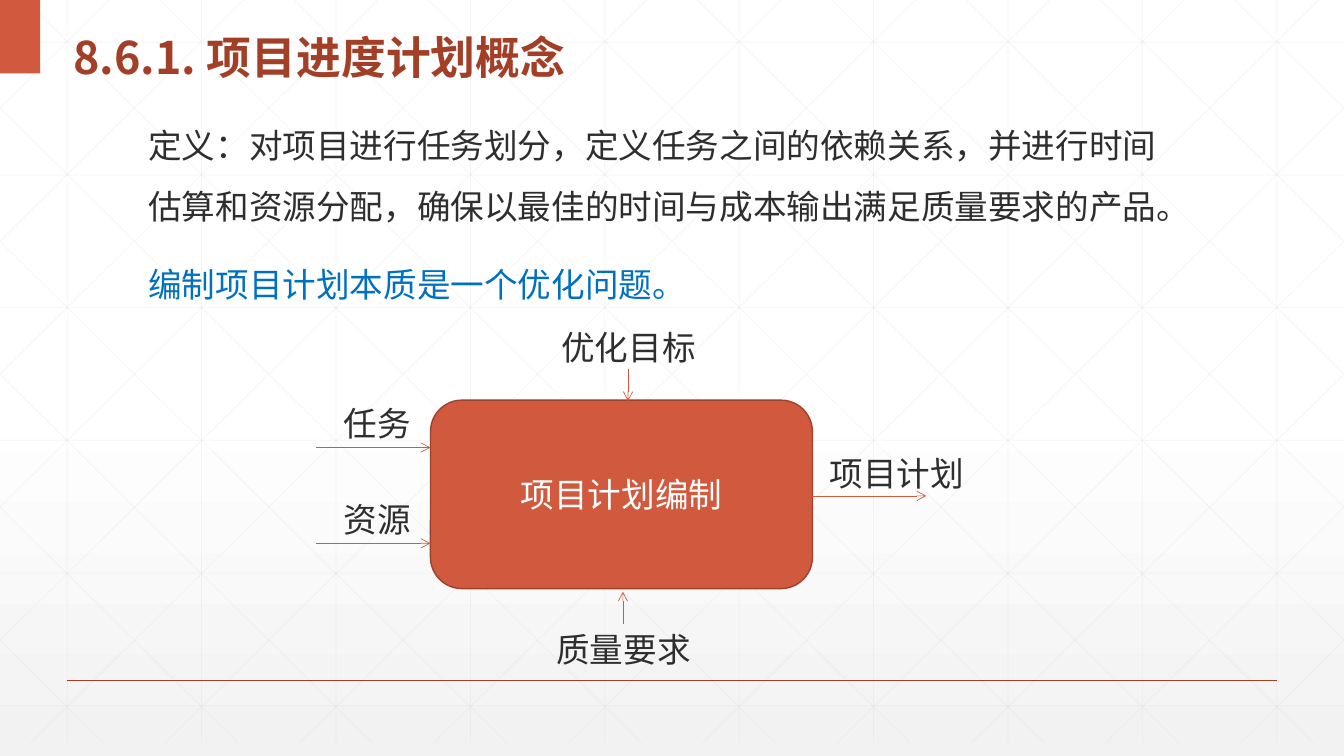
from lxml.etree import SubElement
from pptx import Presentation
from pptx.dml.color import RGBColor
from pptx.enum.shapes import MSO_CONNECTOR, MSO_SHAPE
from pptx.enum.text import MSO_ANCHOR, MSO_AUTO_SIZE, PP_ALIGN
from pptx.oxml.ns import qn
from pptx.util import Inches, Pt

COLOURS = {
    "white": "FFFFFF", "paper": "F2F2F2", "mesh": "D9D9D9",
    "accent": "D15A3E", "outline": "9B432E", "heading": "A43F27",
    "text": "2D2E2D", "blue": "0070C0",
}
CJK_FONT = "Noto Sans CJK SC"
WIDTH, HEIGHT = Inches(13.333), Inches(7.5)
MESH_BOTTOM = 98.27
LABEL_HEIGHT = 6.67


def colour(name):
    return RGBColor.from_string(COLOURS[name])


def columns(count):
    """Convert hundredths of the slide's width to a length."""
    return round(WIDTH * count / 100)


def rows(count):
    """Convert hundredths of the slide's height to a length."""
    return round(HEIGHT * count / 100)


def area(left, top, width, height):
    return columns(left), rows(top), columns(width), rows(height)


def place(box, *bounds):
    box.left, box.top, box.width, box.height = area(*bounds)


def write(para, text, size=24, font="Arial", ink="text", bold=False,
          align=PP_ALIGN.LEFT, spacing=None, before=0):
    properties = para._p.get_or_add_pPr()
    properties.set("marL", "0")
    properties.set("indent", "0")
    SubElement(properties, qn("a:buNone"))
    para.alignment = align
    para.line_spacing = spacing
    para.space_before = Pt(before)
    span = para.add_run()
    span.text = text
    span.font.size = Pt(size)
    span.font.name = font
    span.font.bold = bold
    span.font.color.rgb = colour(ink)
    SubElement(span._r.get_or_add_rPr(), qn("a:ea"), typeface=CJK_FONT)


def add_line(shapes, start, end, ink="accent", weight=0.5, opacity=None, arrow=False):
    line = shapes.add_connector(
        MSO_CONNECTOR.STRAIGHT,
        columns(start[0]), rows(start[1]), columns(end[0]), rows(end[1]))
    line.line.color.rgb = colour(ink)
    line.line.width = Pt(weight)
    outline = line.line._get_or_add_ln()
    if opacity:
        SubElement(outline.find(".//" + qn("a:srgbClr")), qn("a:alpha"),
                   val=str(opacity * 1000))
    if arrow:
        SubElement(outline, qn("a:tailEnd"), type="arrow")
    SubElement(line._element.spPr, qn("a:effectLst"))


def add_block(page, kind, bounds, outline=None):
    block = page.shapes.add_shape(kind, *area(*bounds))
    block.shadow.inherit = False
    block.fill.solid()
    block.fill.fore_color.rgb = colour("accent")
    if outline:
        block.line.color.rgb = colour(outline)
        block.line.width = Pt(1)
    else:
        block.line.fill.background()
    return block


def add_label(page, text, left, top, width):
    box = page.shapes.add_textbox(*area(left, top, width, LABEL_HEIGHT))
    box.text_frame.word_wrap = False
    box.text_frame.vertical_anchor = MSO_ANCHOR.MIDDLE
    write(box.text_frame.paragraphs[0], text)


def add_background(page):
    fill = page.background.fill
    fill.gradient()
    fill.gradient_angle = 270
    for stop, name, position in zip(fill.gradient_stops, ("white", "paper"), (0.53, 1)):
        stop.color.rgb = colour(name)
        stop.position = position


def add_mesh(page):
    """Draw upright, level and mirrored slanting lines, cut at the slide's edges."""
    segments = [((5 + 10 * i, 0), (5 + 10 * i, MESH_BOTTOM)) for i in range(10)]
    segments += [((0, 5.6 + 17.55 * i), (100, 5.6 + 17.55 * i)) for i in range(6)]
    slope = 1.76
    for i in range(-5, 10):
        origin = 1.88 + 10 * i
        top = max(0, -origin * slope)
        bottom = min(MESH_BOTTOM, (100 - origin) * slope)
        start, end = origin + top / slope, origin + bottom / slope
        segments += [((start, top), (end, bottom)),
                     ((100 - start, top), (100 - end, bottom))]
    mesh = page.shapes.add_group_shape()
    for start, end in segments:
        add_line(mesh.shapes, start, end, "mesh", opacity=25)


def fill_placeholder(page, box, bounds, anchor):
    """Bring a placeholder in front of the background and return its text frame."""
    page.shapes._spTree.append(box._element)
    place(box, *bounds)
    frame = box.text_frame
    frame.word_wrap = True
    frame.auto_size = MSO_AUTO_SIZE.NONE
    frame.vertical_anchor = anchor
    return frame


def add_heading(page):
    frame = fill_placeholder(page, page.shapes.title, (4.72, 1.6, 91, 9.73),
                             MSO_ANCHOR.MIDDLE)
    write(frame.paragraphs[0], "8.6.1. 项目进度计划概念", size=32, font=CJK_FONT,
          ink="heading", bold=True, spacing=1.3)


def add_definition(page):
    frame = fill_placeholder(page, page.placeholders[1], (10.28, 13.2, 78.22, 27.87),
                             MSO_ANCHOR.TOP)
    write(frame.paragraphs[0],
          "定义：对项目进行任务划分，定义任务之间的依赖关系，并进行时间"
          "估算和资源分配，确保以最佳的时间与成本输出满足质量要求的产品。",
          font=CJK_FONT, spacing=Pt(43.4))
    write(frame.add_paragraph(), "编制项目计划本质是一个优化问题。",
          font=CJK_FONT, ink="blue", spacing=Pt(43.4), before=12)


def add_planning_diagram(page):
    process = add_block(page, MSO_SHAPE.ROUNDED_RECTANGLE,
                        (32.03, 52.93, 28.42, 24.93), outline="outline")
    process.text_frame.vertical_anchor = MSO_ANCHOR.MIDDLE
    write(process.text_frame.paragraphs[0], "项目计划编制", ink="white",
          align=PP_ALIGN.CENTER)
    flows = [
        ("任务", (24.83, 52.67, 6.6), (23.48, 59.2), (32.03, 59.2)),
        ("资源", (24.83, 65.33, 6.6), (23.48, 71.87), (32.03, 71.87)),
        ("优化目标", (41.03, 42.53, 11.63), (46.73, 48.8), (46.73, 53.07)),
        ("质量要求", (40.65, 82.53, 11.63), (46.35, 82.53), (46.35, 78.27)),
        ("项目计划", (60.98, 59.2, 11.63), (60.4, 65.6), (68.93, 65.6)),
    ]
    for text, spot, start, end in flows:
        add_line(page.shapes, start, end, arrow=True)
        add_label(page, text, *spot)


def main():
    deck = Presentation()
    deck.slide_width, deck.slide_height = WIDTH, HEIGHT
    page = deck.slides.add_slide(deck.slide_layouts[1])
    add_background(page)
    add_mesh(page)
    add_line(page.shapes, (5, 90), (95, 90), "heading", weight=1)
    add_block(page, MSO_SHAPE.RECTANGLE, (0, 0, 3, 9.73))
    add_heading(page)
    add_definition(page)
    add_planning_diagram(page)
    deck.save("out.pptx")


if __name__ == "__main__":
    main()
